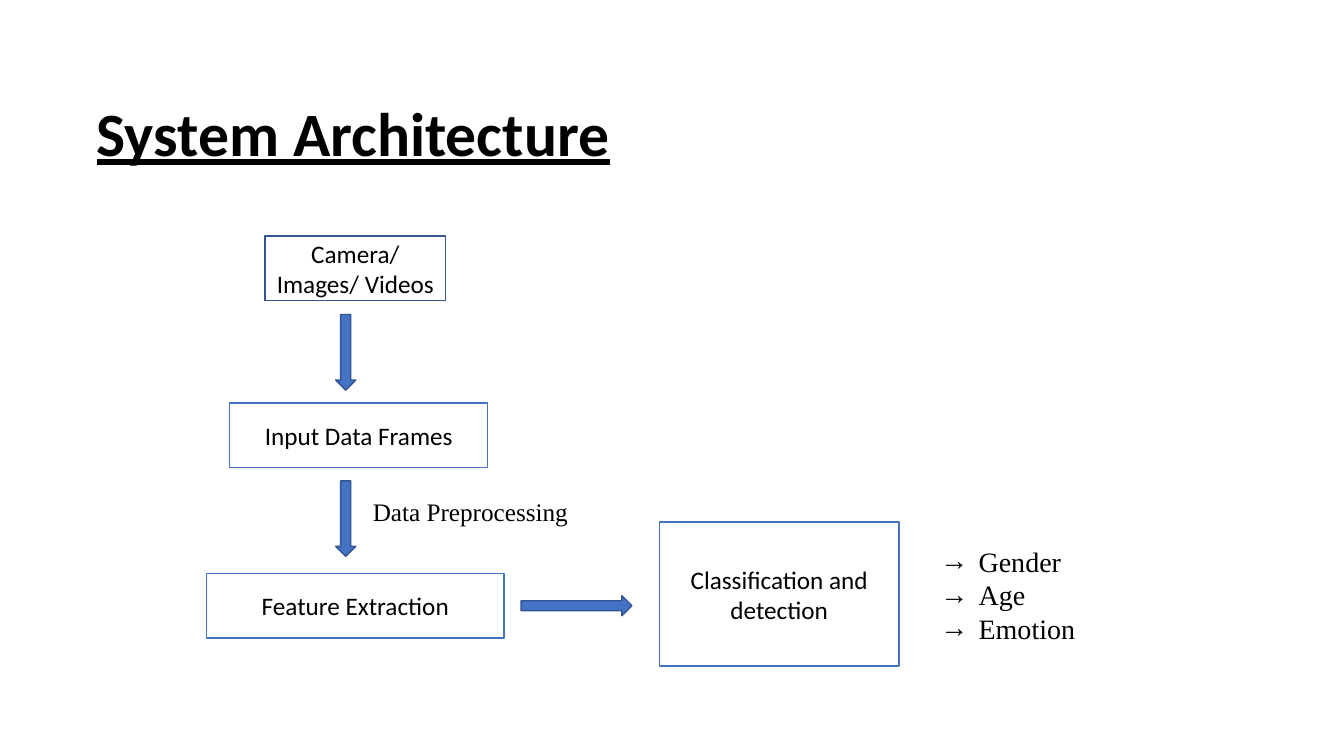
from lxml.etree import SubElement
from pptx import Presentation
from pptx.dml.color import RGBColor
from pptx.enum.shapes import MSO_SHAPE
from pptx.enum.text import MSO_ANCHOR, MSO_AUTO_SIZE, PP_ALIGN
from pptx.oxml.ns import qn
from pptx.util import Inches, Pt

CELL = Inches(0.1)
COLUMNS, ROWS = 133.33, 75
BLACK, WHITE, BLUE, NAVY = "000000", "FFFFFF", "4472C4", "325491"
SANS, SERIF = "Calibri", "Times New Roman"


def color(value):
    return RGBColor.from_string(value)


def cells(*counts):
    return [round(count * CELL) for count in counts]


def add_bullet(para, symbol, indent):
    properties = para._p.get_or_add_pPr()
    properties.set("marL", str(indent))
    properties.set("indent", str(-indent))
    SubElement(properties, qn("a:buFont"), typeface=SERIF)
    SubElement(properties, qn("a:buChar"), char=symbol)


def write_text(frame, text, size=18, font=SANS, bold=None, underline=None,
               align=PP_ALIGN.LEFT, anchor=MSO_ANCHOR.TOP, wrap=True,
               spacing=None, bullet=None):
    frame.word_wrap = wrap
    frame.vertical_anchor = anchor
    for index, line in enumerate(text.split("\n")):
        para = frame.paragraphs[0] if index == 0 else frame.add_paragraph()
        para.alignment = align
        para.line_spacing = spacing
        if bullet:
            add_bullet(para, bullet, Inches(0.38))
        span = para.add_run()
        span.text = line
        span.font.name = font
        span.font.size = Pt(size)
        span.font.bold = bold
        span.font.underline = underline
        span.font.color.rgb = color(BLACK)


def add_label(page, area, text, grow=False, **style):
    box = page.shapes.add_textbox(*cells(*area))
    write_text(box.text_frame, text, **style)
    if grow:
        box.text_frame.auto_size = MSO_AUTO_SIZE.SHAPE_TO_FIT_TEXT


def add_block(page, kind, area, fill, line):
    block = page.shapes.add_shape(kind, *cells(*area))
    block.shadow.inherit = False
    block.fill.solid()
    block.fill.fore_color.rgb = color(fill)
    block.line.color.rgb = color(line)
    block.line.width = Pt(1)
    return block


def add_stage(page, area, text, line=BLUE):
    stage = add_block(page, MSO_SHAPE.RECTANGLE, area, WHITE, line)
    write_text(stage.text_frame, text, align=PP_ALIGN.CENTER,
               anchor=MSO_ANCHOR.MIDDLE)


def add_arrow(page, kind, area):
    add_block(page, kind, area, BLUE, NAVY)


def main():
    deck = Presentation()
    deck.slide_width, deck.slide_height = cells(COLUMNS, ROWS)
    page = deck.slides.add_slide(deck.slide_layouts[6])

    add_label(page, (8.6, 2.8, 115, 14.5), "System Architecture", size=44,
              bold=True, underline=True, anchor=MSO_ANCHOR.BOTTOM, spacing=0.9)

    add_stage(page, (26.3, 23.4, 17.9, 6.4), "Camera/ Images/ Videos", NAVY)
    add_stage(page, (22.8, 40, 25.6, 6.4), "Input Data Frames")
    add_stage(page, (20.5, 56.9, 29.5, 6.4), "Feature Extraction")
    add_stage(page, (65.4, 51.8, 23.8, 14.3), "Classification and detection")

    for top in (31.2, 47.7):
        add_arrow(page, MSO_SHAPE.DOWN_ARROW, (33.3, top, 2, 7.5))
    add_arrow(page, MSO_SHAPE.RIGHT_ARROW, (51.7, 59.1, 11, 2))

    add_label(page, (92.3, 53.5, 29.3, 15.1), "Gender\nAge\nEmotion", size=20,
              font=SERIF, bullet="→", grow=True)
    add_label(page, (36, 48.7, 21.6, 4), "Data Preprocessing", font=SERIF,
              wrap=False, grow=True)

    deck.save("out.pptx")


if __name__ == "__main__":
    main()
